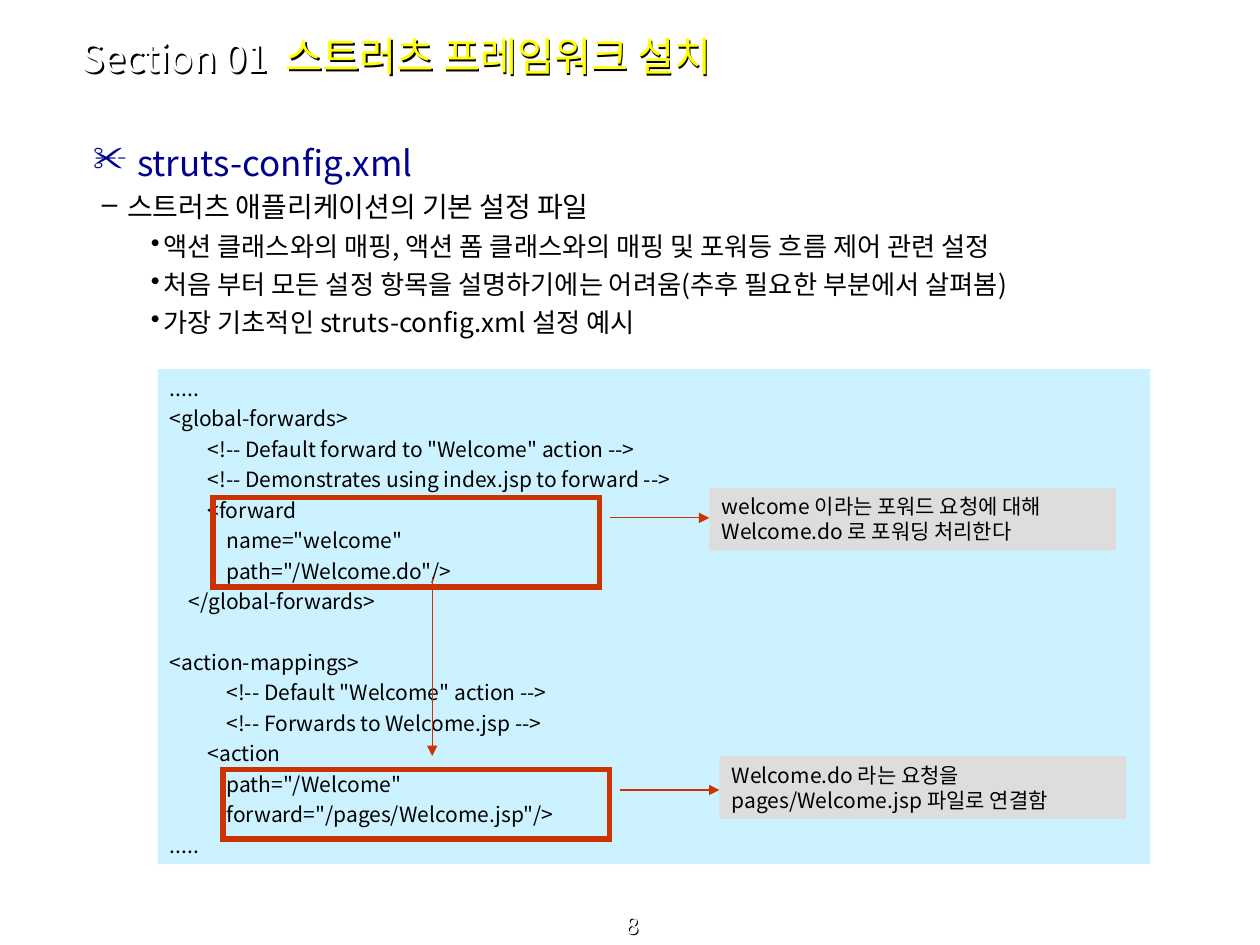
from dataclasses import dataclass

from lxml.etree import SubElement
from pptx import Presentation
from pptx.dml.color import RGBColor
from pptx.enum.shapes import MSO_CONNECTOR, MSO_SHAPE
from pptx.enum.text import MSO_ANCHOR, PP_ALIGN
from pptx.oxml.ns import qn
from pptx.util import Inches, Pt


@dataclass(frozen=True)
class Theme:
    font: str = "Noto Sans CJK KR"
    white: str = "FFFFFF"
    black: str = "000000"
    navy: str = "00008E"
    yellow: str = "FFFF00"
    accent: str = "CC3300"
    code_fill: str = "CDF2FF"
    callout_fill: str = "DDDDDD"
    title_size: float = 23
    section_size: float = 22
    page_size: float = 13
    code_size: float = 12
    line_height: float = 1.2
    frame_width: float = 3
    arrow_width: float = 0.75
    shadow_distance: float = 1.4


@dataclass(frozen=True)
class BulletLevel:
    margin: float
    hanging: float
    space_before: float
    mark: str
    size: float
    color: str


@dataclass(frozen=True)
class Callout:
    """A framed piece of code with an arrow to its explanation."""
    left: float
    top: float
    height: float
    note_top: float
    lines: tuple[str, ...]


THEME = Theme()
LEVELS = (
    BulletLevel(0.47, 0.35, 5, "✂", 20, THEME.navy),
    BulletLevel(0.39, 0.2, 4, "–", 16, THEME.black),
    BulletLevel(0.68, 0.1, 3.7, "•", 15, THEME.black),
)
BULLETS = (
    (0, "struts-config.xml"),
    (1, "스트러츠 애플리케이션의 기본 설정 파일"),
    (2, "액션 클래스와의 매핑, 액션 폼 클래스와의 매핑 및 포워등 흐름 제어 관련 설정"),
    (2, "처음 부터 모든 설정 항목을 설명하기에는 어려움(추후 필요한 부분에서 살펴봄)"),
    (2, "가장 기초적인 struts-config.xml 설정 예시"),
)
CODE_INDENT = 0.15
CODE_SPACE = 3
SECTION_SPACE = 20.4
SECTION_START = "<action-mappings>"
CODE = (
    (0, "....."),
    (0, "<global-forwards>"),
    (2, '<!-- Default forward to "Welcome" action -->'),
    (2, "<!-- Demonstrates using index.jsp to forward -->"),
    (2, "<forward"),
    (3, 'name="welcome"'),
    (3, 'path="/Welcome.do"/>'),
    (1, "</global-forwards>"),
    (0, SECTION_START),
    (3, '<!-- Default "Welcome" action -->'),
    (3, "<!-- Forwards to Welcome.jsp -->"),
    (2, "<action"),
    (3, 'path="/Welcome"'),
    (3, 'forward="/pages/Welcome.jsp"/>'),
    (0, "....."),
)
CALLOUTS = (
    Callout(1.77, 6.11, 0.55, 6,
            ("Welcome.do 라는 요청을 pages/Welcome.jsp 파일로 연결함",)),
    Callout(1.69, 3.95, 0.71, 3.87,
            ("welcome 이라는 포워드 요청에 대해", "Welcome.do 로 포워딩 처리한다")),
)


def add_text(frame, text: str, size: float, color: str):
    """Fill the first paragraph, or append one when it is taken."""
    first = frame.paragraphs[0]
    paragraph = frame.add_paragraph() if first.runs else first
    paragraph.alignment = PP_ALIGN.LEFT
    paragraph.line_spacing = Pt(size * THEME.line_height)
    run = paragraph.add_run()
    run.text = text
    run.font.size = Pt(size)
    run.font.name = THEME.font
    run.font.color.rgb = RGBColor.from_string(color)
    return paragraph


def set_indent(paragraph, margin: float, hanging: float = 0) -> None:
    properties = paragraph._p.get_or_add_pPr()
    properties.set("marL", str(Inches(margin)))
    properties.set("indent", str(-Inches(hanging)))


def add_text_box(slide, left: float, top: float, width: float, height: float,
                 anchor=MSO_ANCHOR.TOP, shadow: bool = False):
    """Add a text box; on an unfilled box the shadow falls from the letters."""
    box = slide.shapes.add_textbox(Inches(left), Inches(top), Inches(width), Inches(height))
    box.text_frame.word_wrap = True
    box.text_frame.vertical_anchor = anchor
    if shadow:
        effects = SubElement(box._element.spPr, qn("a:effectLst"))
        outer = SubElement(effects, qn("a:outerShdw"), dir="2700000", algn="ctr",
                           dist=str(Pt(THEME.shadow_distance)), rotWithShape="0")
        SubElement(outer, qn("a:srgbClr"), val=THEME.black)
    return box.text_frame


def add_rectangle(slide, left: float, top: float, width: float, height: float,
                  fill: str | None = None, line: str | None = None):
    shape = slide.shapes.add_shape(MSO_SHAPE.RECTANGLE, Inches(left), Inches(top),
                                   Inches(width), Inches(height))
    shape.shadow.inherit = False
    if fill:
        shape.fill.solid()
        shape.fill.fore_color.rgb = RGBColor.from_string(fill)
    else:
        shape.fill.background()
    if line:
        shape.line.color.rgb = RGBColor.from_string(line)
        shape.line.width = Pt(THEME.frame_width)
        SubElement(shape.line._get_or_add_ln(), qn("a:miter"), lim="800000")
    else:
        shape.line.fill.background()
    shape.text_frame.word_wrap = True
    shape.text_frame.vertical_anchor = MSO_ANCHOR.TOP
    return shape.text_frame


def add_arrow(slide, x1: float, y1: float, x2: float, y2: float) -> None:
    arrow = slide.shapes.add_connector(MSO_CONNECTOR.STRAIGHT, Inches(x1), Inches(y1),
                                       Inches(x2), Inches(y2))
    arrow.line.color.rgb = RGBColor.from_string(THEME.accent)
    arrow.line.width = Pt(THEME.arrow_width)
    SubElement(arrow.line._get_or_add_ln(), qn("a:tailEnd"), type="triangle")
    SubElement(arrow._element.spPr, qn("a:effectLst"))


def add_bullet(frame, level: BulletLevel, text: str) -> None:
    paragraph = add_text(frame, text, level.size, level.color)
    paragraph.space_before = Pt(level.space_before)
    set_indent(paragraph, level.margin, level.hanging)
    properties = paragraph._p.get_or_add_pPr()
    color = SubElement(properties, qn("a:buClr"))
    SubElement(color, qn("a:srgbClr"), val=level.color)
    SubElement(properties, qn("a:buChar"), char=level.mark)


def add_callout(slide, callout: Callout) -> None:
    arrow_y = callout.top + 0.16
    note_left = callout.left + 3.94
    add_rectangle(slide, callout.left, callout.top, 3.07, callout.height, line=THEME.accent)
    add_arrow(slide, callout.left + 3.15, arrow_y, note_left, arrow_y)
    note = add_rectangle(slide, note_left, callout.note_top, 3.23, 0.5, fill=THEME.callout_fill)
    for line in callout.lines:
        add_text(note, line, THEME.code_size, THEME.black)


def main() -> None:
    presentation = Presentation()
    presentation.slide_width, presentation.slide_height = Inches(10), Inches(7.5)
    slide = presentation.slides.add_slide(presentation.slide_layouts[6])

    # Page number
    footer = add_text_box(slide, 0.02, 7.28, 10, 0.22, MSO_ANCHOR.BOTTOM, shadow=True)
    number = add_text(footer, "8", THEME.page_size, THEME.white)
    number.alignment = PP_ALIGN.CENTER

    # Bullets
    body = add_text_box(slide, 0.52, 1.07, 9, 1.8)
    for level, text in BULLETS:
        add_bullet(body, LEVELS[level], text)

    # Heading
    title = add_text_box(slide, 2.17, 0.2, 5.51, 0.48, MSO_ANCHOR.MIDDLE, shadow=True)
    add_text(title, "스트러츠 프레임워크 설치", THEME.title_size, THEME.yellow)
    section = add_text_box(slide, 0.55, 0.27, 1.93, 0.37, MSO_ANCHOR.MIDDLE, shadow=True)
    add_text(section, "Section 01", THEME.section_size, THEME.white)

    # Code listing
    listing = add_rectangle(slide, 1.25, 2.93, 7.88, 3.93, fill=THEME.code_fill)
    for depth, text in CODE:
        paragraph = add_text(listing, text, THEME.code_size, THEME.black)
        paragraph.space_before = Pt(SECTION_SPACE if text == SECTION_START else CODE_SPACE)
        set_indent(paragraph, depth * CODE_INDENT)

    # Explanations and the link between both code parts
    for callout in CALLOUTS:
        add_callout(slide, callout)
    add_arrow(slide, 3.43, 4.58, 3.43, 6)

    presentation.save("out.pptx")


if __name__ == "__main__":
    main()
